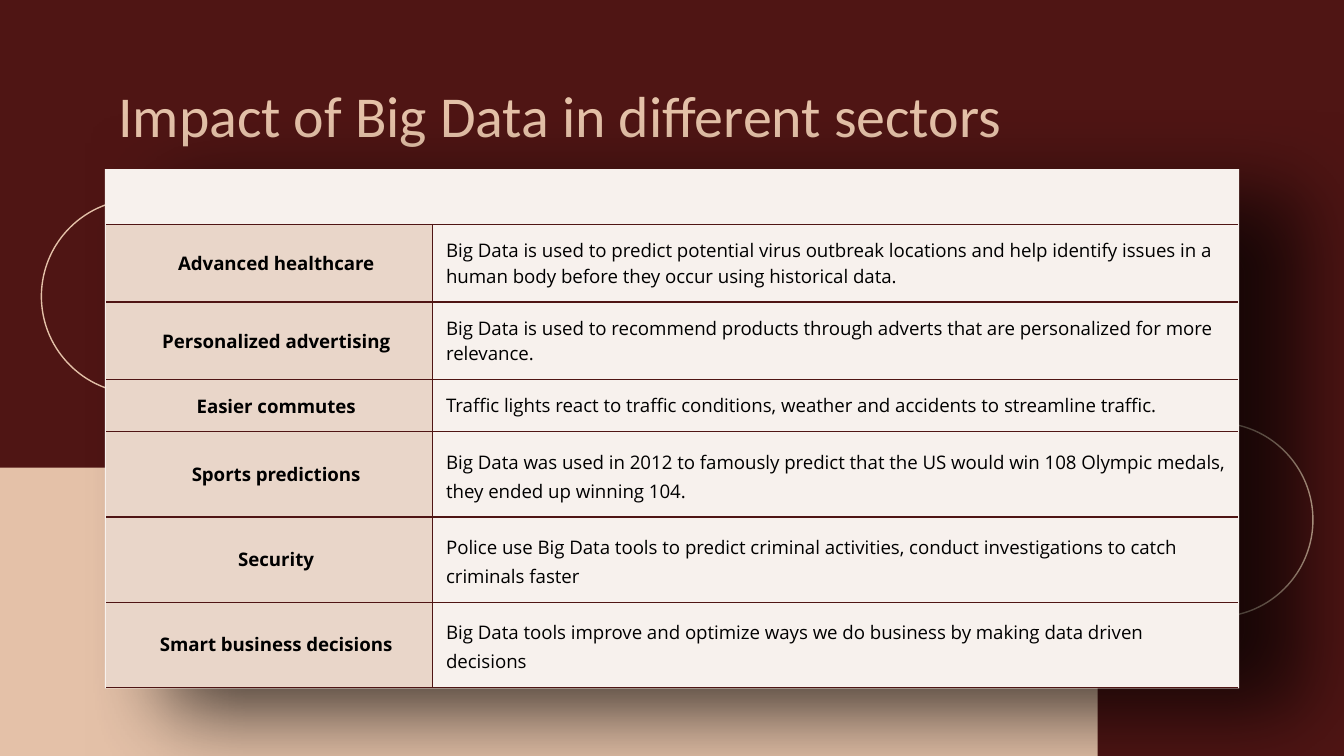
import math
from dataclasses import dataclass

from lxml import etree
from pptx import Presentation
from pptx.dml.color import RGBColor
from pptx.enum import shapes, text
from pptx.oxml import ns
from pptx.util import Pt


@dataclass(frozen=True)
class Theme:
    wine: str = "4F1514"
    sand: str = "E4C1A8"
    cream: str = "F7F1ED"
    label: str = "E2C7B4"
    black: str = "000000"
    title_font: str = "Calibri"
    body_font: str = "Open Sans"
    title_size: float = 31
    body_size: float = 10
    line: float = 0.75


THEME = Theme()
INSET = 7.2

# Sector, impact, and paragraph format of the impact
PLAIN = dict(after=16)
SPACED = dict(spacing=1.15, before=12, after=12)
SECTORS = [
    ("Advanced healthcare",
     "Big Data is used to predict potential virus outbreak locations and help "
     "identify issues in a human body before they occur using historical data.", PLAIN),
    ("Personalized advertising",
     "Big Data is used to recommend products through adverts that are "
     "personalized for more relevance.", PLAIN),
    ("Easier commutes",
     "Traffic lights react to traffic conditions, weather and accidents to "
     "streamline traffic.", PLAIN),
    ("Sports predictions",
     "Big Data was used in 2012 to famously predict that the US would win 108 "
     "Olympic medals, they ended up winning 104.", SPACED),
    ("Security",
     "Police use Big Data tools to predict criminal activities, conduct "
     "investigations to catch criminals faster", SPACED),
    ("Smart business decisions",
     "Big Data tools improve and optimize ways we do business by making data "
     "driven decisions", SPACED),
]


def rgb(color):
    return RGBColor.from_string(color)


def sub(parent, tag, **attrs):
    return etree.SubElement(parent, ns.qn(tag), {k: str(v) for k, v in attrs.items()})


def write(tf, content, font=THEME.body_font, size=THEME.body_size, color=THEME.black,
          bold=False, align=text.PP_ALIGN.LEFT, spacing=None, before=None, after=None):
    p = tf.paragraphs[0]
    p.alignment = align
    if spacing:
        p.line_spacing = spacing
    if before is not None:
        p.space_before = Pt(before)
    if after is not None:
        p.space_after = Pt(after)
    r = p.add_run()
    r.text = content
    r.font.name, r.font.size, r.font.bold = font, Pt(size), bold
    r.font.color.rgb = rgb(color)


def add_shape(s, kind, box, fill=None, line=None):
    sp = s.shapes.add_shape(kind, *map(Pt, box))
    sp.shadow.inherit = False
    if fill:
        sp.fill.solid()
        sp.fill.fore_color.rgb = rgb(fill)
    else:
        sp.fill.background()
    if line:
        sp.line.color.rgb = rgb(line)
        sp.line.width = Pt(THEME.line)
    else:
        sp.line.fill.background()
    return sp


def add_shadow(sp, color, blur, dx, dy, opacity):
    effects = sp._element.spPr.find(ns.qn("a:effectLst"))
    angle = math.degrees(math.atan2(dy, dx))
    shadow = sub(effects, "a:outerShdw", blurRad=Pt(blur), dist=Pt(math.hypot(dx, dy)),
                 dir=round(angle * 60000), algn="bl", rotWithShape=0)
    clr = sub(shadow, "a:srgbClr", val=color)
    sub(clr, "a:alpha", val=opacity * 1000)


def add_borders(cell, sides):
    tcPr = cell._tc.get_or_add_tcPr()
    for i, side in enumerate(sides):
        ln = etree.Element(ns.qn(f"a:ln{side}"), w=str(Pt(THEME.line)))
        sub(sub(ln, "a:solidFill"), "a:srgbClr", val=THEME.wine)
        tcPr.insert(i, ln)


def format_cell(cell, fill, sides, left=INSET, opacity=100):
    cell.margin_left = Pt(left)
    cell.margin_right = cell.margin_top = cell.margin_bottom = Pt(INSET)
    cell.fill.solid()
    cell.fill.fore_color.rgb = rgb(fill)
    if opacity < 100:
        clr = cell._tc.tcPr.find(".//" + ns.qn("a:srgbClr"))
        sub(clr, "a:alpha", val=opacity * 1000)
    add_borders(cell, sides)


def add_title(s, content):
    sp = s.shapes.title
    sp.left, sp.top, sp.width, sp.height = map(Pt, (56.2, 42.5, 607.7, 39.6))
    tf = sp.text_frame
    tf.word_wrap = True
    tf.auto_size = text.MSO_AUTO_SIZE.NONE
    tf.vertical_anchor = text.MSO_ANCHOR.TOP
    tf.margin_top = 0
    tf.margin_left = tf.margin_right = tf.margin_bottom = Pt(INSET)
    write(tf, content, font=THEME.title_font, size=THEME.title_size, color=THEME.sand)


def add_sector_table(s):
    frame = s.shapes.add_table(len(SECTORS), 2, *map(Pt, (56.8, 120.2, 606.6, 227.5)))
    table = frame.table
    table.first_row = table.horz_banding = False
    # "No style, no grid", so that only the borders set here are drawn
    style = table._tbl.tblPr.find(ns.qn("a:tableStyleId"))
    style.text = "{2D5ABB26-0587-4C30-8999-92F81FD0307C}"
    for column, width in zip(table.columns, (175, 431.6)):
        column.width = Pt(width)
    for i, (sector, impact, spacing) in enumerate(SECTORS):
        table.rows[i].height = Pt(27.4 if i else 33.8)
        name, detail = table.cell(i, 0), table.cell(i, 1)
        format_cell(name, THEME.label, "RTB", left=2 * INSET, opacity=63)
        name.vertical_anchor = text.MSO_ANCHOR.MIDDLE
        write(name.text_frame, sector, bold=True, align=text.PP_ALIGN.CENTER)
        format_cell(detail, THEME.cream, "LTB")
        write(detail.text_frame, impact, **spacing)
    frame.height = Pt(227.5)


def main():
    prs = Presentation()
    prs.slide_width, prs.slide_height = Pt(720), Pt(405)
    s = prs.slides.add_slide(prs.slide_layouts[5])
    s.background.fill.solid()
    s.background.fill.fore_color.rgb = rgb(THEME.wine)

    # Decoration: two rings, the sand band and the card
    for left, top in ((22.2, 106.7), (599.2, 226.4)):
        add_shape(s, shapes.MSO_SHAPE.FLOWCHART_CONNECTOR, (left, top, 104.2, 104.2),
                  line=THEME.sand)
    add_shape(s, shapes.MSO_SHAPE.RECTANGLE, (0, 250.5, 588, 154.5), fill=THEME.sand)
    card = add_shape(s, shapes.MSO_SHAPE.RECTANGLE, (56.2, 90.6, 607.7, 278.2),
                     fill=THEME.cream)
    add_shadow(card, THEME.black, blur=45, dx=33.8, dy=12.8, opacity=70)

    # Content
    add_title(s, "Impact of Big Data in different sectors")
    add_sector_table(s)
    prs.save("out.pptx")


if __name__ == "__main__":
    main()
